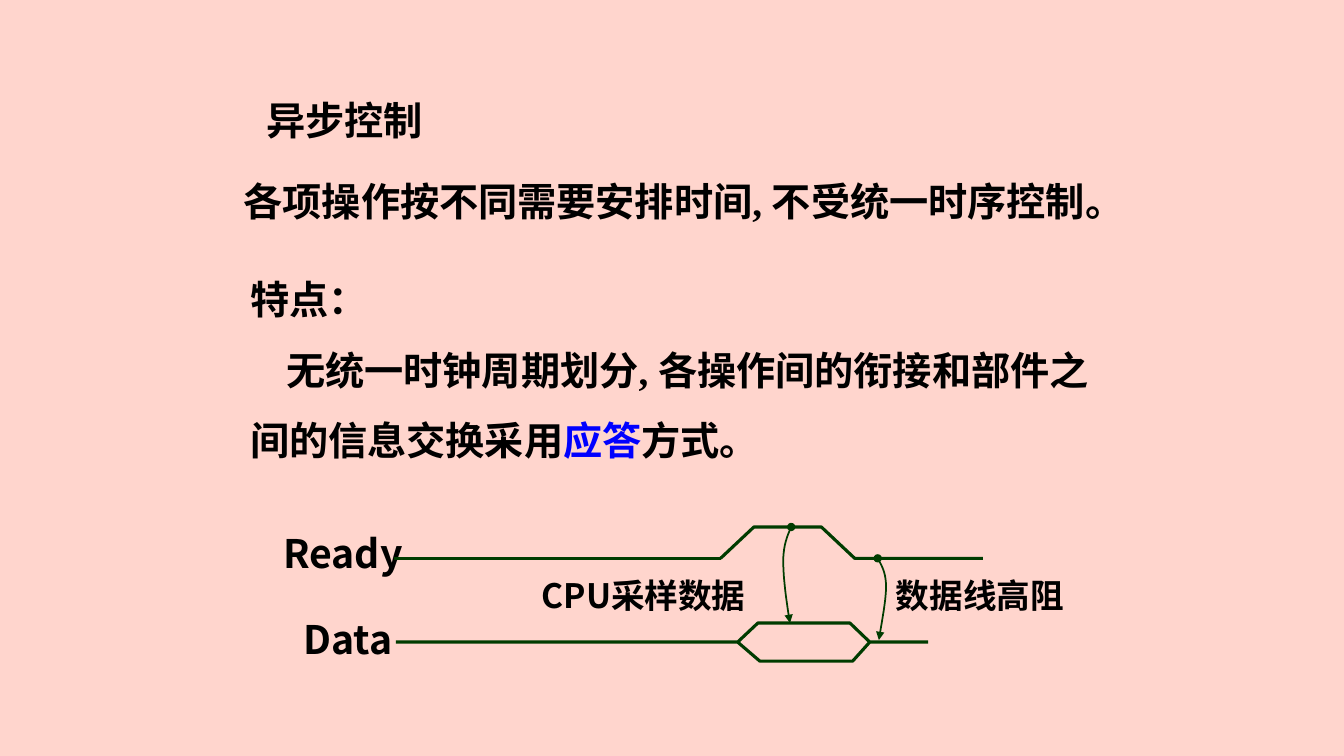
from lxml.etree import SubElement
from pptx import Presentation
from pptx.dml.color import RGBColor
from pptx.enum.shapes import MSO_CONNECTOR as Connector
from pptx.enum.text import MSO_ANCHOR as Anchor, MSO_AUTO_SIZE as AutoSize, PP_ALIGN as Align
from pptx.oxml.ns import qn
from pptx.util import Cm, Pt

CJK_FONT = "Noto Sans CJK SC"
BODY_FONT = "Times New Roman"
GREEN = "003C00"
READY_Y, READY_TOP = 14.07, 13.28
DATA_Y, DATA_TOP, DATA_BOTTOM = 16.18, 15.7, 16.66


def color(hex_text):
    """Turn a hex string into a colour."""
    return RGBColor.from_string(hex_text)


def format_run(run, size, font_name, hex_text="000000"):
    """Set a bold run's size, typeface and colour."""
    font = run.font
    font.size, font.bold, font.name = Pt(size), True, font_name
    font.color.rgb = color(hex_text)
    SubElement(run.font._element, qn("a:ea"), typeface=CJK_FONT)


def place(shape, left, top, width, height):
    """Position a text shape and make its frame plain."""
    shape.left, shape.top = Cm(left), Cm(top)
    shape.width, shape.height = Cm(width), Cm(height)
    frame = shape.text_frame
    frame.word_wrap = True
    frame.auto_size = AutoSize.NONE
    frame.vertical_anchor = Anchor.TOP
    return frame


def write_line(shape, box, text, size=28, font_name=BODY_FONT, align=Align.LEFT):
    """Write one paragraph into a text shape."""
    frame = place(shape, *box)
    frame.text = text
    paragraph = frame.paragraphs[0]
    paragraph.alignment = align
    format_run(paragraph.runs[0], size, font_name)


def add_label(slide, box, text, size=28, font_name=CJK_FONT, align=Align.LEFT):
    """Add a text box holding one paragraph."""
    shape = slide.shapes.add_textbox(0, 0, Cm(1), Cm(1))
    write_line(shape, box, text, size, font_name, align)


def write_features(shape):
    """Fill the body placeholder with the features."""
    frame = place(shape, 6.05, 6.22, 22.1, 5.41)
    features = [
        (0, [("特点：", "000000")]),
        (0.91, [("无统一时钟周期划分, 各操作间的衔接和部件之间的信息交换采用", "000000"),
                ("应答", "0000FF"), ("方式。", "000000")]),
    ]
    for index, (indent, pieces) in enumerate(features):
        paragraph = frame.add_paragraph() if index else frame.paragraphs[0]
        properties = paragraph._p.get_or_add_pPr()
        properties.set("marL", "0")
        properties.set("indent", str(Cm(indent)))
        SubElement(properties, qn("a:buNone"))
        paragraph.line_spacing = 1.5
        paragraph.space_before = Pt(0)
        for text, hex_text in pieces:
            run = paragraph.add_run()
            run.text = text
            format_run(run, 28, BODY_FONT, hex_text)


def style_line(shape, width):
    """Draw a shape's line in green."""
    shape.line.color.rgb = color(GREEN)
    shape.line.width = Pt(width)


def add_trace(slide, points, width=2.25):
    """Add an open outline through points in centimetres."""
    corners = [(Cm(x), Cm(y)) for x, y in points]
    builder = slide.shapes.build_freeform(*corners[0])
    builder.add_line_segments(corners[1:], close=False)
    shape = builder.convert_to_shape()
    shape.shadow.inherit = False
    shape.fill.background()
    style_line(shape, width)
    return shape


def bezier(start, first, second, end, steps=10):
    """Return points along a cubic curve, without its start."""
    points = []
    for step in range(1, steps + 1):
        t = step / steps
        weights = ((1 - t) ** 3, 3 * t * (1 - t) ** 2, 3 * t * t * (1 - t), t ** 3)
        points.append(tuple(sum(weight * value for weight, value in zip(weights, values))
                            for values in zip(start, first, second, end)))
    return points


def add_curved_arrow(slide, knots):
    """Add a two-part curve from a dot to an arrowhead."""
    points = [knots[0]] + bezier(*knots[:4]) + bezier(*knots[3:])
    line = add_trace(slide, points, 1.25).line._get_or_add_ln()
    SubElement(line, qn("a:headEnd"), type="oval")
    SubElement(line, qn("a:tailEnd"), type="triangle")


def add_timing(slide):
    """Draw the Ready and Data signals with their arrows."""
    baseline = slide.shapes.add_connector(
        Connector.STRAIGHT, Cm(9.93), Cm(READY_Y), Cm(18.16), Cm(READY_Y))
    style_line(baseline, 2.25)
    SubElement(baseline._element.spPr, qn("a:effectLst"))
    add_trace(slide, [(18.16, READY_Y), (19, READY_TOP), (20.7, READY_TOP),
                      (21.54, READY_Y), (24.77, READY_Y)])
    upper = [(18.59, DATA_Y), (19.1, DATA_TOP), (21.42, DATA_TOP), (21.92, DATA_Y)]
    lower = [(21.49, DATA_BOTTOM), (19.15, DATA_BOTTOM)]
    add_trace(slide, [(9.98, DATA_Y)] + upper + lower + upper + [(23.39, DATA_Y)])
    add_curved_arrow(slide, [(19.94, READY_TOP), (19.84, 13.51), (19.74, 13.74), (19.74, 14.15),
                             (19.74, 14.55), (19.81, 15.11), (19.91, DATA_TOP)])
    add_curved_arrow(slide, [(22.12, READY_Y), (22.22, 14.25), (22.33, 14.43), (22.33, 14.78),
                             (22.33, 15.14), (22.23, 15.62), (22.15, 16.13)])


def main():
    """Build and save the slide."""
    presentation = Presentation()
    presentation.slide_width, presentation.slide_height = Cm(33.87), Cm(19.05)
    slide = presentation.slides.add_slide(presentation.slide_layouts[1])
    slide.background.fill.solid()
    slide.background.fill.fore_color.rgb = color("FFD5CD")
    write_line(slide.shapes.title, (6.45, 2.31, 5.31, 1.45), "异步控制")
    add_label(slide, (5.89, 4.34, 23, 1.45),
              "各项操作按不同需要安排时间, 不受统一时序控制。", font_name=BODY_FONT)
    write_features(slide.placeholders[1])
    add_label(slide, (13.4, 14.35, 6.2, 1.27), "CPU采样数据", 24)
    add_label(slide, (6.89, 13.21, 3.71, 1.32), "Ready", align=Align.JUSTIFY)
    add_label(slide, (7.4, 15.39, 3.1, 1.32), "Data", align=Align.JUSTIFY)
    add_timing(slide)
    add_label(slide, (22.33, 14.35, 5.69, 1.27), "数据线高阻", 24)
    presentation.save("out.pptx")


if __name__ == "__main__":
    main()
